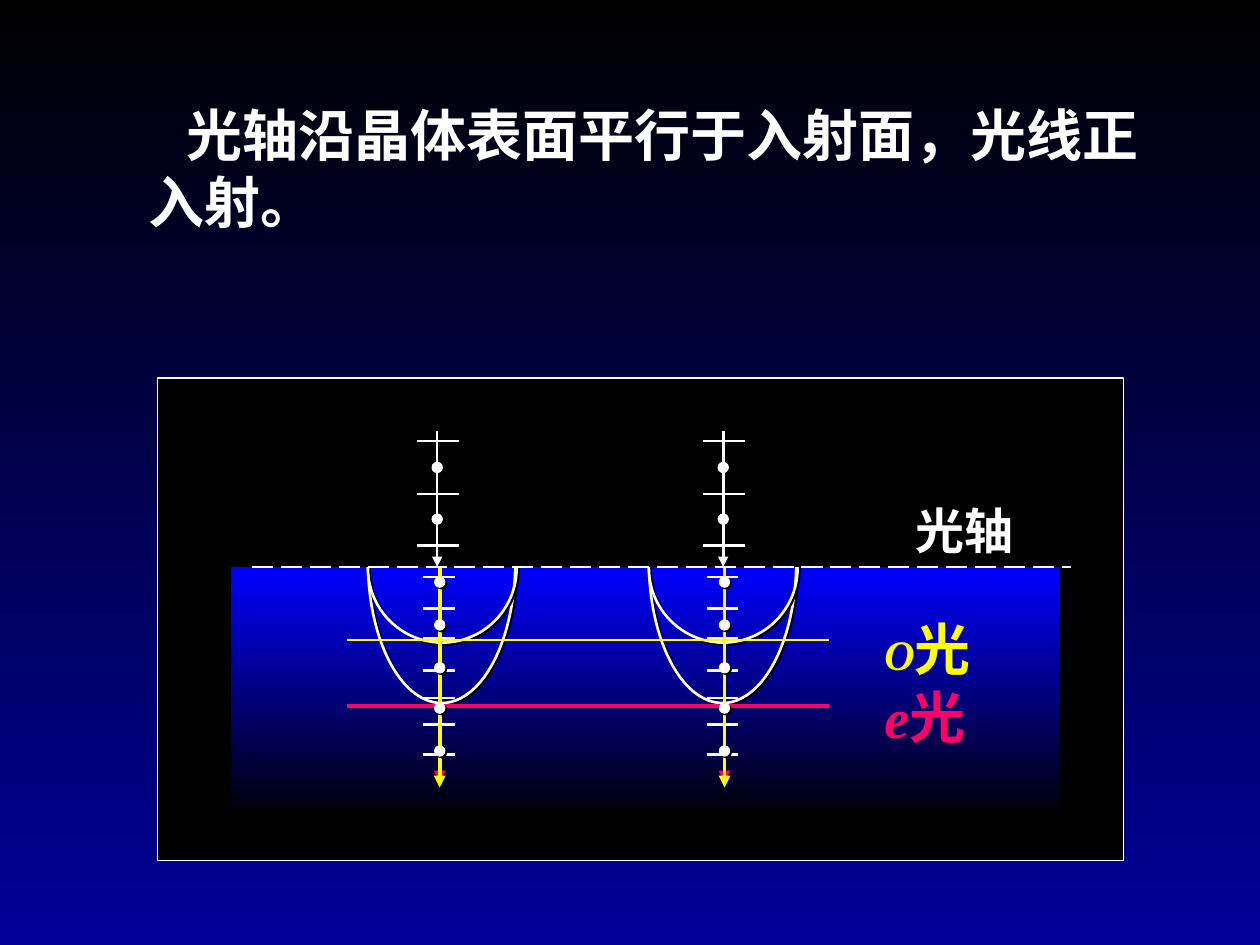
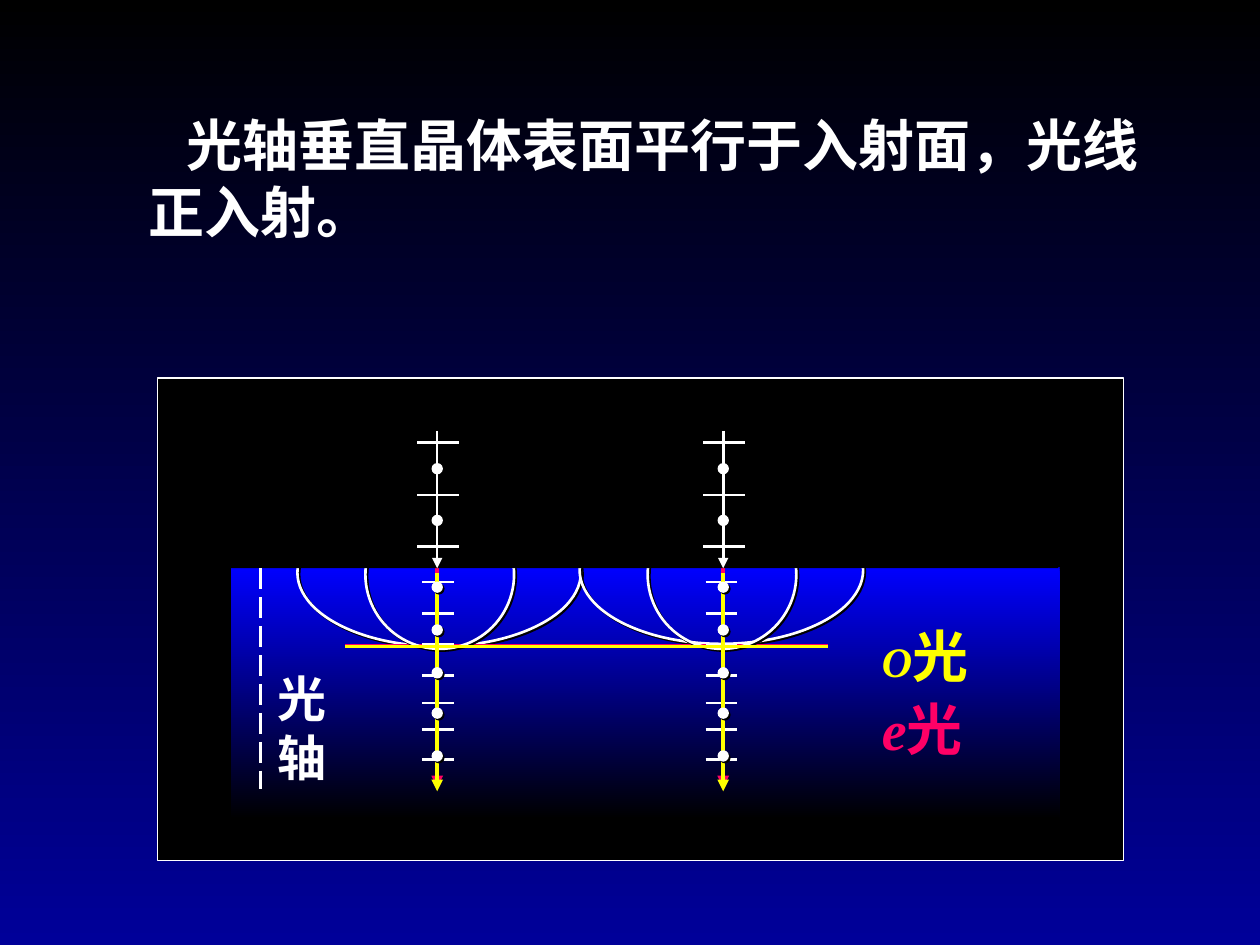
"""Build two slides on light rays entering a birefringent crystal."""
from dataclasses import dataclass

from lxml import etree
from pptx import Presentation
from pptx import util as u
from pptx.dml.color import RGBColor
from pptx.enum import dml, shapes, text
from pptx.oxml import ns

BLACK = RGBColor(0x00, 0x00, 0x00)
WHITE = RGBColor(0xFF, 0xFF, 0xFF)
NAVY = RGBColor(0x00, 0x00, 0x99)
BLUE = RGBColor(0x00, 0x00, 0xFF)
YELLOW = RGBColor(0xFF, 0xFF, 0x00)
PINK = RGBColor(0xFF, 0x00, 0x66)
CJK, LATIN = "Noto Sans CJK SC", "Times New Roman"
INCIDENT_X = (3.47, 5.74)
DOT = 0.08
RECT, OVAL = shapes.MSO_SHAPE.RECTANGLE, shapes.MSO_SHAPE.OVAL


@dataclass
class Crystal:
    """Positions that differ between the two optic-axis cases, in inches."""
    title: str
    title_y: float
    surface: float
    mask_x: float
    ray_x: tuple
    ray_y: tuple
    e_ray_y: tuple
    tick_x: tuple
    shift: float
    wave_x: tuple
    e_tops: tuple
    o_top: float
    e_rotation: int
    front_x: float
    e_front: float
    o_front: float
    label_x: float
    e_label: float
    o_label: float
    axis: tuple
    axis_label: tuple


PARALLEL = Crystal(
    title="光轴沿晶体表面平行于入射面，光线正入射。", title_y=0.75,
    surface=4.5, mask_x=1.92, ray_x=(3.49, 5.75), ray_y=(4.5, 6.25),
    e_ray_y=(4.46, 6.21), tick_x=(3.36, 5.61), shift=0,
    wave_x=(2.92, 5.15), e_tops=(3.33, 3.33), o_top=3.92, e_rotation=0,
    front_x=2.75, e_front=5.6, o_front=5.08,
    label_x=6.92, e_label=5.37, o_label=4.83,
    axis=(2, 4.5, 8.5, 4.5), axis_label=(7.17, 3.92, 1.58, 0.57))

PERPENDICULAR = Crystal(
    title="光轴垂直晶体表面平行于入射面，光线正入射。", title_y=0.83,
    surface=4.51, mask_x=1.82, ray_x=INCIDENT_X, ray_y=(4.55, 6.28),
    e_ray_y=(4.5, 6.25), tick_x=(3.35, 5.6), shift=0.04,
    wave_x=(2.9, 5.14), e_tops=(3.42, 3.4), o_top=3.97, e_rotation=90,
    front_x=2.74, e_front=5.13, o_front=5.13,
    label_x=6.9, e_label=5.46, o_label=4.88,
    axis=(2.07, 4.51, 2.07, 6.26), axis_label=(2.1, 5.26, 0.58, 1.04))


def fade(fill, top, bottom):
    """Fill with a gradient running from top to bottom."""
    fill.gradient()
    fill.gradient_angle = 270
    for stop, color in zip(fill.gradient_stops, (top, bottom)):
        stop.color.rgb = color


def add_shadow(sp):
    """Give a shape a hard black shadow to the lower right."""
    effects = sp._element.spPr.find(ns.qn("a:effectLst"))
    shadow = etree.SubElement(effects, ns.qn("a:outerShdw"), blurRad="0",
                              dist=str(u.Pt(1.4)), dir="2700000",
                              algn="ctr", rotWithShape="0")
    etree.SubElement(shadow, ns.qn("a:srgbClr"), val=str(BLACK))


def add_figure(s, kind, box, fill=None, line=None, width=0.75, shadow=False):
    """Add a preset shape with optional fill, outline and shadow."""
    sp = s.shapes.add_shape(kind, *map(u.Inches, box))
    sp.shadow.inherit = False
    if fill is None:
        sp.fill.background()
    else:
        sp.fill.solid()
        sp.fill.fore_color.rgb = fill
    if line is None:
        sp.line.fill.background()
    else:
        sp.line.color.rgb = line
        sp.line.width = u.Pt(width)
    if shadow:
        add_shadow(sp)
    return sp


def add_line(s, ends, color=WHITE, width=1.5, arrow=False, dashed=False):
    """Add a straight line, optionally dashed or with an arrowhead."""
    sp = s.shapes.add_connector(shapes.MSO_CONNECTOR.STRAIGHT,
                                *map(u.Inches, ends))
    sp.line.color.rgb = color
    sp.line.width = u.Pt(width)
    if dashed:
        sp.line.dash_style = dml.MSO_LINE.LONG_DASH
    if arrow:
        etree.SubElement(sp.line._get_or_add_ln(), ns.qn("a:tailEnd"),
                         type="triangle")
    etree.SubElement(sp._element.spPr, ns.qn("a:effectLst"))


def add_text(s, box, runs, color=WHITE, name=LATIN, indent=0):
    """Add a bold one-paragraph text box from (text, size, italic) runs."""
    tf = s.shapes.add_textbox(*map(u.Inches, box)).text_frame
    tf.word_wrap = True
    tf.auto_size = text.MSO_AUTO_SIZE.SHAPE_TO_FIT_TEXT
    p = tf.paragraphs[0]
    if indent:
        p._p.get_or_add_pPr().set("indent", str(u.Inches(indent)))
    for words, size, italic in runs:
        r = p.add_run()
        r.text = words
        style = {"name": name, "size": u.Pt(size), "bold": True,
                 "italic": italic}
        for key, value in style.items():
            setattr(r.font, key, value)
        r.font.color.rgb = color
        etree.SubElement(r._r.get_or_add_rPr(), ns.qn("a:ea"), typeface=CJK)


def add_ticks(s, x, width, heights):
    """Add the in-plane polarisation bars along a ray."""
    for y in heights:
        add_line(s, (x, y, x + width, y))


def add_dots(s, x, tops, shadow=False):
    """Add the out-of-plane polarisation dots along a ray."""
    for y in tops:
        add_figure(s, OVAL, (x - DOT / 2, y, DOT, DOT), WHITE, WHITE,
                   shadow=shadow)


def add_rays(s, xs, ys, color, width=2.25):
    """Add a downward arrow at every x."""
    for x in xs:
        add_line(s, (x, ys[0], x, ys[1]), color, width, arrow=True)


def add_front(s, c, y, color, width):
    """Add a horizontal wave front."""
    add_line(s, (c.front_x, y, c.front_x + 3.83, y), color, width)


def add_e_light(s, c):
    """Add the extraordinary wavelets, rays, front and label."""
    for x, top in zip(c.wave_x, c.e_tops):
        sp = add_figure(s, OVAL, (x, top, 1.17, 2.25), line=WHITE, width=1.5,
                        shadow=True)
        sp.rotation = c.e_rotation
    add_rays(s, c.ray_x, c.e_ray_y, PINK)
    add_front(s, c, c.e_front, PINK, 2.25)
    add_text(s, (c.label_x, c.e_label, 1.25, 0.64),
             [("e", 32, True), ("光", 32, False)], PINK)
    heights = [y + c.shift for y in (4.58, 4.83, 5.07, 5.32, 5.54, 5.75, 5.99)]
    for x in c.tick_x:
        add_ticks(s, x, 0.25, heights)


def add_o_light(s, c):
    """Add the ordinary wavelets, front, label and rays."""
    for x in c.wave_x:
        add_figure(s, OVAL, (x, c.o_top, 1.18, 1.18), line=WHITE, width=1.5,
                   shadow=True)
    add_front(s, c, c.o_front, YELLOW, 1.5)
    add_text(s, (c.label_x, c.o_label, 1.25, 0.64),
             [("O", 24, True), ("光", 32, False)], YELLOW)
    add_rays(s, c.ray_x, c.ray_y, YELLOW)
    tops = [y + c.shift for y in (4.58, 4.92, 5.26, 5.58, 5.92)]
    for x in c.ray_x:
        add_dots(s, x, tops, shadow=True)


def add_incident_light(s, c):
    """Cover the upper half-waves and add incident rays and the optic axis."""
    add_figure(s, RECT, (c.mask_x, c.surface - 1.42, 6.58, 1.42), BLACK)
    add_rays(s, INCIDENT_X, (3.42, c.surface), WHITE, 1.5)
    add_line(s, c.axis, dashed=True)
    add_text(s, c.axis_label, [("光轴", 28, False)])
    for x in INCIDENT_X:
        add_ticks(s, x - 0.16, 0.33, [c.surface - d for d in (1, 0.58, 0.17)])
        add_dots(s, x, [c.surface - d for d in (0.83, 0.42)])


def add_crystal_slide(prs, c):
    """Add one slide showing a crystal case."""
    s = prs.slides.add_slide(prs.slide_layouts[6])
    fade(s.background.fill, BLACK, NAVY)
    add_text(s, (1.08, c.title_y, 8.17, 1.17), [(c.title, 32, False)],
             name=CJK, indent=0.3)
    add_figure(s, RECT, (1.25, 3, 7.67, 3.83), BLACK, WHITE)
    crystal = add_figure(s, RECT, (1.83, 4.5, 6.58, 2))
    fade(crystal.fill, BLUE, BLACK)
    add_e_light(s, c)
    add_o_light(s, c)
    add_incident_light(s, c)


def main():
    """Build and save the presentation."""
    prs = Presentation()
    prs.slide_width, prs.slide_height = u.Inches(10), u.Inches(7.5)
    for c in (PARALLEL, PERPENDICULAR):
        add_crystal_slide(prs, c)
    prs.save("out.pptx")


if __name__ == "__main__":
    main()
